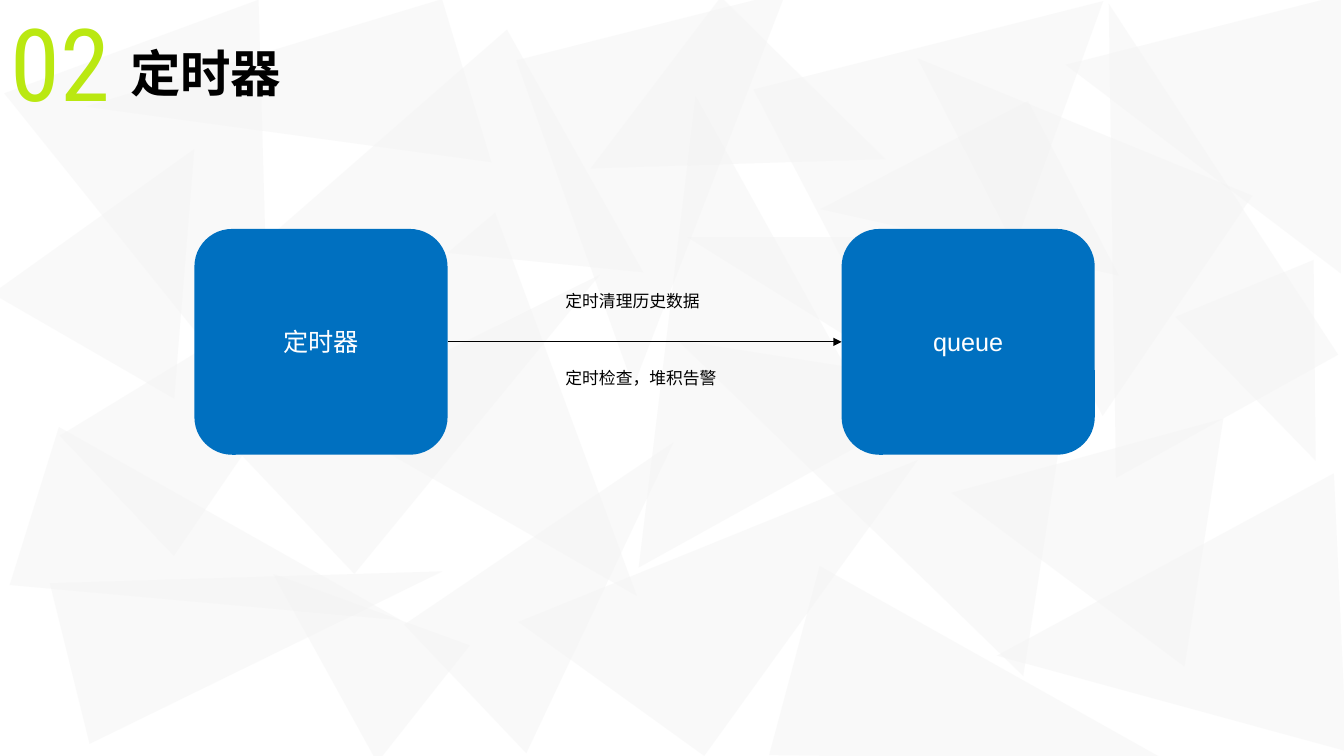
from lxml.etree import SubElement
from pptx import Presentation
from pptx.dml.color import RGBColor
from pptx.enum.shapes import MSO_CONNECTOR, MSO_SHAPE
from pptx.enum.text import MSO_ANCHOR, MSO_AUTO_SIZE, PP_ALIGN
from pptx.oxml.ns import qn
from pptx.util import Cm, Pt

COLORS = {
    "number": "BAE811",
    "ink": "000000",
    "node": "0070C0",
    "node_text": "FFFFFF",
    "shard": "F2F2F2",
}
SHARD_ALPHA = 42

SECTION_NUMBER = "02"
HEADING = "定时器"
NODES = ["定时器", "queue"]
# wording, top in cm
TASKS = [("定时清理历史数据", 7.21), ("定时检查，堆积告警", 9.14)]

# Background triangles: left, top, width, height in cm, rotation, apex position
SHARDS = [
    (3.4, 9.35, 4.17, 9.68, 107.3, 0.5),
    (4.37, 10.72, 4.17, 9.68, 76.1, 0.5),
    (1.65, 0.86, 6.83, 10.16, 159.8, 0.5),
    (4.37, 4.32, 4.17, 9.68, 46.5, 0.5),
    (12.42, 10.54, 4.47, 8.08, 46.5, 0.3),
    (9.42, 6.48, 7.01, 9.68, 139.8, 0.5),
    (23.98, 9.93, 6.32, 6.48, 278.9, 0.54),
    (17.93, 7.85, 7.01, 9.91, 278.9, 1),
    (15.21, 9.04, 5.77, 9.19, 35.8, 1),
    (25.17, 0.61, 6.4, 10.54, 331, 0.88),
    (13.31, 3.53, 7.01, 9.68, 331, 1),
    (15.44, 1.19, 5.82, 5.38, 224.6, 0.88),
    (20.07, 0.99, 9.09, 9.93, 165.8, 0.74),
    (13.97, 0.53, 7.01, 8.69, 165.8, 0.88),
    (7.62, 1.83, 7.01, 7.72, 240.7, 0.77),
    (25.93, 11.28, 7.01, 8.69, 267.4, 0.4),
    (18.52, 4.78, 3.96, 6.35, 270, 1),
    (-0.89, 4.32, 6.3, 4.78, 274.6, 0.36),
    (5.13, -1.3, 4.29, 9.37, 253.2, 1),
    (26.82, -0.08, 7.01, 6.93, 270, 0.75),
    (8.92, 4.78, 4.17, 9.68, 46.5, 0.71),
    (22.23, 13.06, 4.93, 9.68, 105, 0.5),
    (30.38, 7.09, 3.76, 4.7, 157.6, 0.5),
    (6.83, 13.69, 3.76, 5, 308.3, 0.56),
    (22.63, 0.74, 6.71, 8.92, 304.2, 0.72),
    (21.49, 3.63, 5.89, 4.95, 152.5, 0),
]

NODE_LEFT, NODE_TOP, NODE_WIDTH, NODE_HEIGHT = 4.9, 5.77, 6.38, 5.69
NODE_PITCH = 16.31

NO_MARGINS = dict.fromkeys(
    ("margin_left", "margin_top", "margin_right", "margin_bottom"), 0)
FRAMES = {
    "number": {**NO_MARGINS, "word_wrap": False,
               "vertical_anchor": MSO_ANCHOR.MIDDLE},
    "heading": {**NO_MARGINS, "word_wrap": False,
                "auto_size": MSO_AUTO_SIZE.NONE,
                "vertical_anchor": MSO_ANCHOR.TOP},
    "node": {"word_wrap": True, "vertical_anchor": MSO_ANCHOR.MIDDLE},
    "task": {"word_wrap": True, "auto_size": MSO_AUTO_SIZE.SHAPE_TO_FIT_TEXT},
}
PARAGRAPHS = {
    "number": {"alignment": PP_ALIGN.CENTER},
    "heading": {"alignment": PP_ALIGN.LEFT, "line_spacing": 1.1},
    "node": {"alignment": PP_ALIGN.CENTER},
    "task": {"alignment": PP_ALIGN.LEFT},
}
FONTS = {
    "number": {"name": "Roboto Condensed", "size": Pt(72)},
    "heading": {"name": "Arial", "size": Pt(36), "bold": True},
    "node": {"name": "Arial", "size": Pt(18)},
    "task": {"name": "Arial", "size": Pt(12)},
}
TEXT_COLORS = {"number": "number", "heading": "ink",
               "node": "node_text", "task": "ink"}


def rgb(color):
    return RGBColor.from_string(COLORS[color])


def apply(target, values):
    for attribute, value in values.items():
        setattr(target, attribute, value)


def write(shape, wording, role):
    """Put wording into the shape in the style of its role."""
    frame = shape.text_frame
    paragraph = frame.paragraphs[0]
    run = paragraph.add_run()
    run.text = wording
    apply(frame, FRAMES[role])
    apply(paragraph, PARAGRAPHS[role])
    apply(run.font, FONTS[role])
    run.font.color.rgb = rgb(TEXT_COLORS[role])


def add_filled(shapes, preset, box, color):
    shape = shapes.add_shape(preset, *map(Cm, box))
    shape.shadow.inherit = False
    shape.fill.solid()
    shape.fill.fore_color.rgb = rgb(color)
    shape.line.fill.background()
    return shape


def add_shards(slide):
    shards = slide.shapes.add_group_shape()
    for *box, rotation, apex in SHARDS:
        shard = add_filled(shards.shapes, MSO_SHAPE.ISOSCELES_TRIANGLE,
                           box, "shard")
        shard.rotation = rotation
        shard.adjustments[0] = apex
        fill_color = next(shard.element.iter(qn("a:srgbClr")))
        SubElement(fill_color, qn("a:alpha"), val=str(SHARD_ALPHA * 1000))
    # The background lies behind the title
    slide.shapes.title.element.addprevious(shards.element)


def add_header(slide):
    number = slide.shapes.add_textbox(0, Cm(0.03), Cm(3.05), Cm(3.05))
    write(number, SECTION_NUMBER, "number")
    title = slide.shapes.title
    apply(title, {"left": Cm(3.28), "top": Cm(0.91),
                  "width": Cm(8.76), "height": Cm(2.03)})
    write(title, HEADING, "heading")


def add_flow(slide):
    nodes = []
    for position, wording in enumerate(NODES):
        box = (NODE_LEFT + position * NODE_PITCH, NODE_TOP,
               NODE_WIDTH, NODE_HEIGHT)
        node = add_filled(slide.shapes, MSO_SHAPE.ROUNDED_RECTANGLE,
                          box, "node")
        write(node, wording, "node")
        nodes.append(node)

    timer, queue = nodes
    arrow = slide.shapes.add_connector(MSO_CONNECTOR.STRAIGHT, 0, 0, 0, 0)
    arrow.begin_connect(timer, 3)
    arrow.end_connect(queue, 1)
    arrow.line.width = Pt(0.5)
    arrow.line.color.rgb = rgb("ink")
    SubElement(arrow.line._get_or_add_ln(), qn("a:tailEnd"), type="triangle")
    SubElement(arrow.element.spPr, qn("a:effectLst"))

    for wording, top in TASKS:
        task = slide.shapes.add_textbox(Cm(14), Cm(top), Cm(4.5), Cm(0.76))
        write(task, wording, "task")


def main():
    deck = Presentation()
    deck.slide_width, deck.slide_height = Cm(33.87), Cm(19.05)
    slide = deck.slides.add_slide(deck.slide_layouts[5])
    add_shards(slide)
    add_header(slide)
    add_flow(slide)
    deck.save("out.pptx")


if __name__ == "__main__":
    main()
